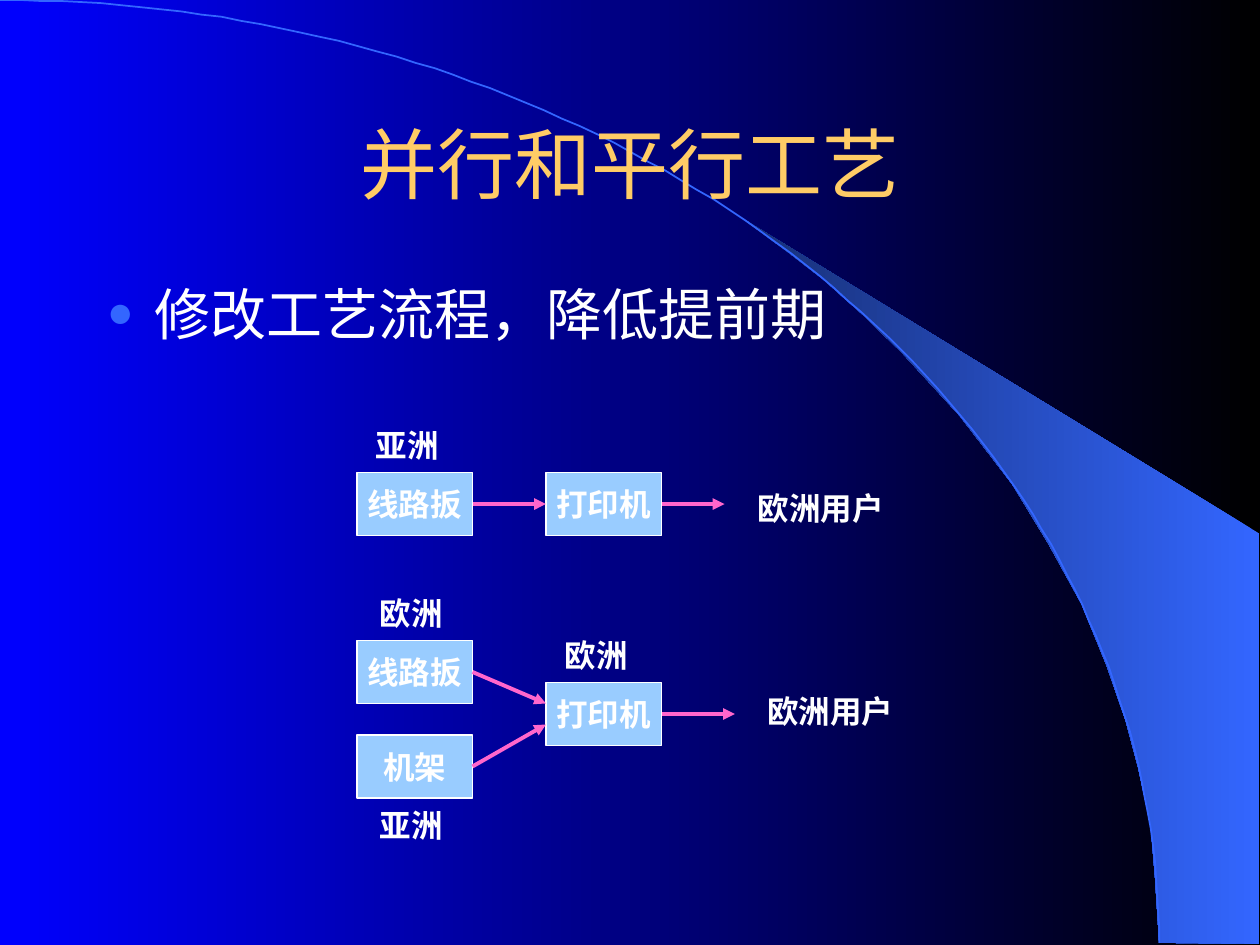
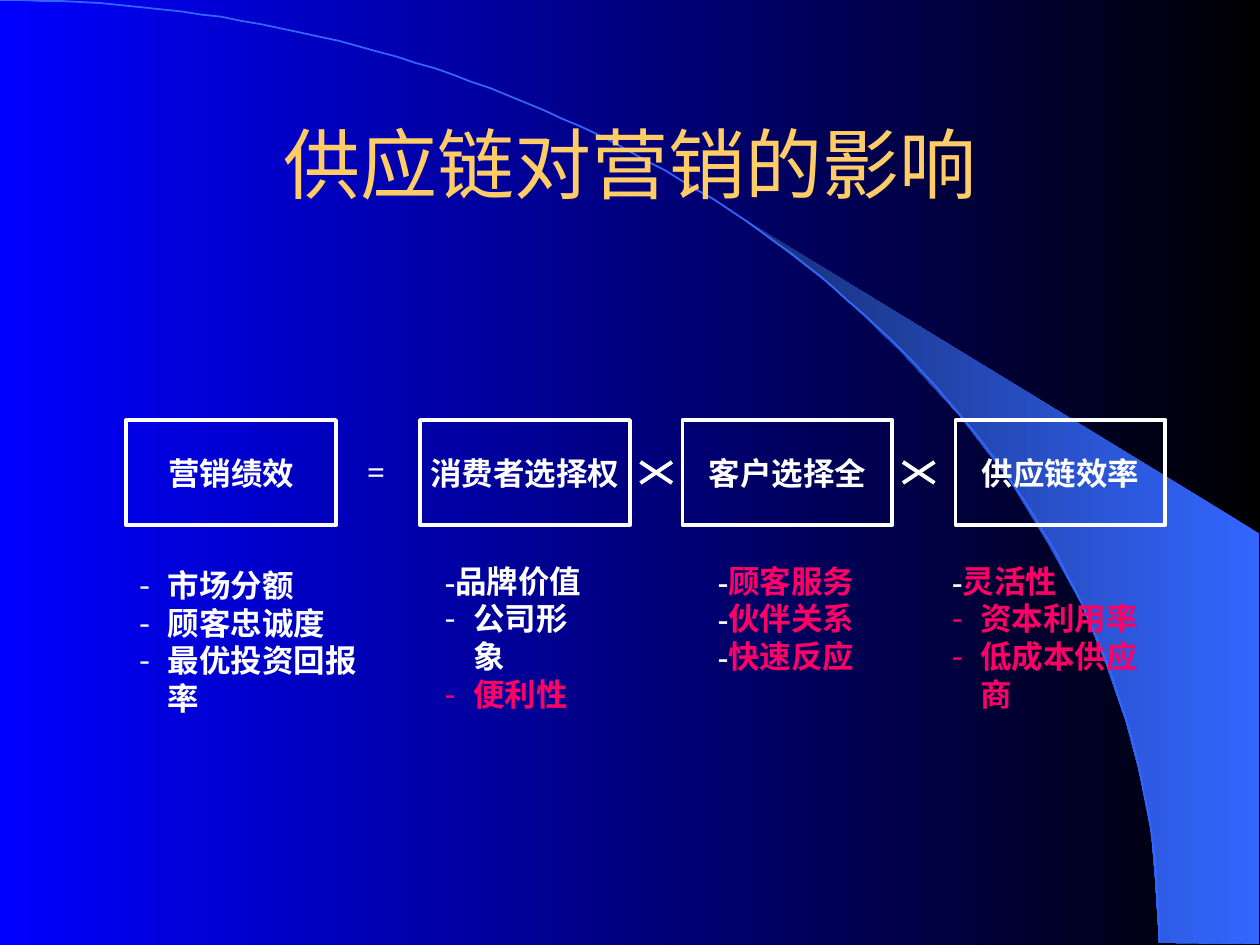
from math import cos, pi, sin

from lxml.etree import SubElement
from pptx import Presentation
from pptx.dml.color import RGBColor
from pptx.enum.lang import MSO_LANGUAGE_ID
from pptx.enum.shapes import MSO_CONNECTOR, MSO_SHAPE
from pptx.enum.text import MSO_ANCHOR, PP_ALIGN
from pptx.oxml.ns import qn
from pptx.util import Pt

PX = 7620
WIDTH, HEIGHT = 1200, 900
LEFT, RIGHT = 1, 3

BLACK = RGBColor(0x00, 0x00, 0x00)
BLUE = RGBColor(0x00, 0x00, 0xFF)
SKY = RGBColor(0x33, 0x66, 0xFF)
NAVY = RGBColor(0x17, 0x2F, 0x75)
GOLD = RGBColor(0xFF, 0xCC, 0x66)
WHITE = RGBColor(0xFF, 0xFF, 0xFF)
PALE = RGBColor(0x99, 0xCC, 0xFF)
PINK = RGBColor(0xFF, 0x66, 0xCC)
ROSE = RGBColor(0xFF, 0x00, 0x66)

TITLE_FONT = {"name": "Arial", "size": Pt(44), "bold": False}
BODY_FONT = {"name": "Times New Roman", "size": Pt(32), "bold": False}
LABEL_FONT = {"name": "Times New Roman", "size": Pt(18), "bold": True}

ARC_WIDTH, ARC_HEIGHT, ARC_STEPS = 1104, 898, 90
WEDGE = [(1104, 898), (1199, 899), (1199, 508), (707, 208), (749, 239),
         (784, 266), (822, 300), (859, 336), (914, 396), (964, 461),
         (998, 517), (1030, 575), (1054, 634), (1072, 686), (1084, 731),
         (1096, 787), (1100, 835)]


def apply(target, values):
    for name, value in values.items():
        setattr(target, name, value)


def px(*lengths):
    return [length * PX for length in lengths]


class SlideBuilder:
    def __init__(self):
        self.deck = Presentation()
        apply(self.deck, {"slide_width": WIDTH * PX, "slide_height": HEIGHT * PX})
        self.page = None

    def new_page(self, title):
        self.page = self.deck.slides.add_slide(self.deck.slide_layouts[6])
        self.gradient(self.page.background.fill, BLACK, BLUE)
        wedge = self.outline(WEDGE, True)
        self.gradient(wedge.fill, SKY, NAVY)
        wedge.line.fill.background()
        angles = [pi / 2 * step / ARC_STEPS for step in range(ARC_STEPS + 1)]
        arc = self.outline([(round(ARC_WIDTH * sin(angle)),
                             round(ARC_HEIGHT * (1 - cos(angle))))
                            for angle in angles], False)
        arc.fill.background()
        self.stroke(arc.line, SKY, 1)
        self.text((90, 80, 1020, 150), [(None, [(title, GOLD)])], TITLE_FONT,
                  wrap=True, anchor=MSO_ANCHOR.MIDDLE, align=PP_ALIGN.CENTER)

    def gradient(self, fill, first, last):
        fill.gradient()
        fill.gradient_angle = 180
        for stop, position, color in zip(fill.gradient_stops, (0, 1), (first, last)):
            stop.position = position
            stop.color.rgb = color

    def stroke(self, line, color, points):
        line.color.rgb = color
        line.width = Pt(points)

    def outline(self, points, close):
        builder = self.page.shapes.build_freeform(*points[0], scale=PX)
        builder.add_line_segments(points[1:], close=close)
        shape = builder.convert_to_shape()
        shape.shadow.inherit = False
        return shape

    def bullet(self, para, char, color, size, indent):
        properties = para._p.get_or_add_pPr()
        properties.set("marL", str(indent * PX))
        properties.set("indent", str(-indent * PX))
        tint = SubElement(properties, qn("a:buClr"))
        SubElement(tint, qn("a:srgbClr"), val=str(color))
        SubElement(properties, qn("a:buSzPct"), val=str(size * 1000))
        SubElement(properties, qn("a:buFont"), typeface="Times New Roman")
        SubElement(properties, qn("a:buChar"), char=char)

    def set_text(self, box, paragraphs, font, wrap, anchor, align,
                 char="-", bullet_size=100, indent=27):
        frame = box.text_frame
        apply(frame, {"word_wrap": wrap, "vertical_anchor": anchor})
        for index, (bullet_color, spans) in enumerate(paragraphs):
            para = frame.add_paragraph() if index else frame.paragraphs[0]
            para.alignment = align
            if bullet_color is not None:
                self.bullet(para, char, bullet_color, bullet_size, indent)
            for words, color in spans:
                span = para.add_run()
                span.text = words
                apply(span.font, font)
                span.font.language_id = MSO_LANGUAGE_ID.SIMPLIFIED_CHINESE
                span.font.color.rgb = color

    def text(self, place, paragraphs, font=LABEL_FONT, wrap=False,
             anchor=MSO_ANCHOR.TOP, align=PP_ALIGN.LEFT, **bullets):
        box = self.page.shapes.add_textbox(*px(*place))
        self.set_text(box, paragraphs, font, wrap, anchor, align, **bullets)

    def label(self, left, top, width, words):
        self.text((left, top, width, 48), [(None, [(words, WHITE)])])

    def node(self, place, words, fill=None, points=0.75):
        box = self.page.shapes.add_shape(MSO_SHAPE.RECTANGLE, *px(*place))
        box.shadow.inherit = False
        if fill is None:
            box.fill.background()
        else:
            box.fill.solid()
            box.fill.fore_color.rgb = fill
        self.stroke(box.line, WHITE, points)
        self.set_text(box, [(None, [(words, WHITE)])], LABEL_FONT, False,
                      MSO_ANCHOR.MIDDLE, PP_ALIGN.CENTER)
        return box

    def line(self, start, end, color):
        connector = self.page.shapes.add_connector(
            MSO_CONNECTOR.STRAIGHT, *px(*start, *end))
        self.stroke(connector.line, color, 2.25)
        SubElement(connector._element.spPr, qn("a:effectLst"))
        return connector

    def arrow(self, source, end, target=None):
        start = ((source.left + source.width) // PX,
                 (source.top + source.height // 2) // PX)
        connector = self.line(start, end, PINK)
        connector.begin_connect(source, RIGHT)
        if target is not None:
            connector.end_connect(target, LEFT)
        stroke = connector._element.spPr.find(qn("a:ln"))
        SubElement(stroke, qn("a:tailEnd"), type="triangle")

    def cross(self, left, top):
        right, bottom = left + 30, top + 20
        self.line((left, bottom), (right, top), WHITE)
        self.line((right, bottom), (left, top), WHITE)


def process_page(slides):
    slides.new_page("并行和平行工艺")
    slides.text((90, 260, 1020, 540), [(SKY, [("修改工艺流程，降低提前期", WHITE)])],
                BODY_FONT, wrap=True, char="●", bullet_size=80, indent=45)
    serial_board, serial_printer, board, printer, rack = [
        slides.node((left, top, 110, 60), words, PALE)
        for left, top, words in [(340, 450, "线路扳"), (520, 450, "打印机"),
                                 (340, 610, "线路扳"), (520, 650, "打印机"),
                                 (340, 700, "机架")]]
    for left, top, width, words in [
            (346, 400, 84, "亚洲"), (350, 560, 84, "欧洲"), (526, 600, 84, "欧洲"),
            (350, 762, 84, "亚洲"), (710, 460, 144, "欧洲用户"),
            (719, 653, 144, "欧洲用户")]:
        slides.label(left, top, width, words)
    slides.arrow(serial_board, (520, 480), serial_printer)
    slides.arrow(serial_printer, (690, 480))
    slides.arrow(board, (520, 670))
    slides.arrow(rack, (520, 690))
    slides.arrow(printer, (700, 680))


def marketing_page(slides):
    slides.new_page("供应链对营销的影响")
    for left, words in [(120, "营销绩效"), (400, "消费者选择权"),
                        (650, "客户选择全"), (910, "供应链效率")]:
        slides.node((left, 400, 200, 100), words, points=2.25)
    results = [(WHITE, [(words, WHITE)])
               for words in ("市场分额", "顾客忠诚度", "最优投资回报率")]
    consumer = [(None, [("-品牌价值", WHITE)]),
                (WHITE, [("公司形象", WHITE)]),
                (ROSE, [("便利性", ROSE)])]
    customer = [(None, [("-", WHITE), (words, ROSE)])
                for words in ("顾客服务", "伙伴关系", "快速反应")]
    supply = [(None, [("-", WHITE), ("灵活性", ROSE)]),
              (ROSE, [("资本利用率", ROSE)]),
              (ROSE, [("低成本供应商", ROSE)])]
    for left, top, width, factors in [
            (121, 533, 244, results), (412, 529, 161, consumer),
            (672, 529, 161, customer), (895, 529, 214, supply)]:
        slides.text((left, top, width, 120), factors, wrap=True)
    slides.label(338, 425, 41, "=")
    for left in (610, 860):
        slides.cross(left, 440)


def main():
    slides = SlideBuilder()
    process_page(slides)
    marketing_page(slides)
    slides.deck.save("out.pptx")


if __name__ == "__main__":
    main()
